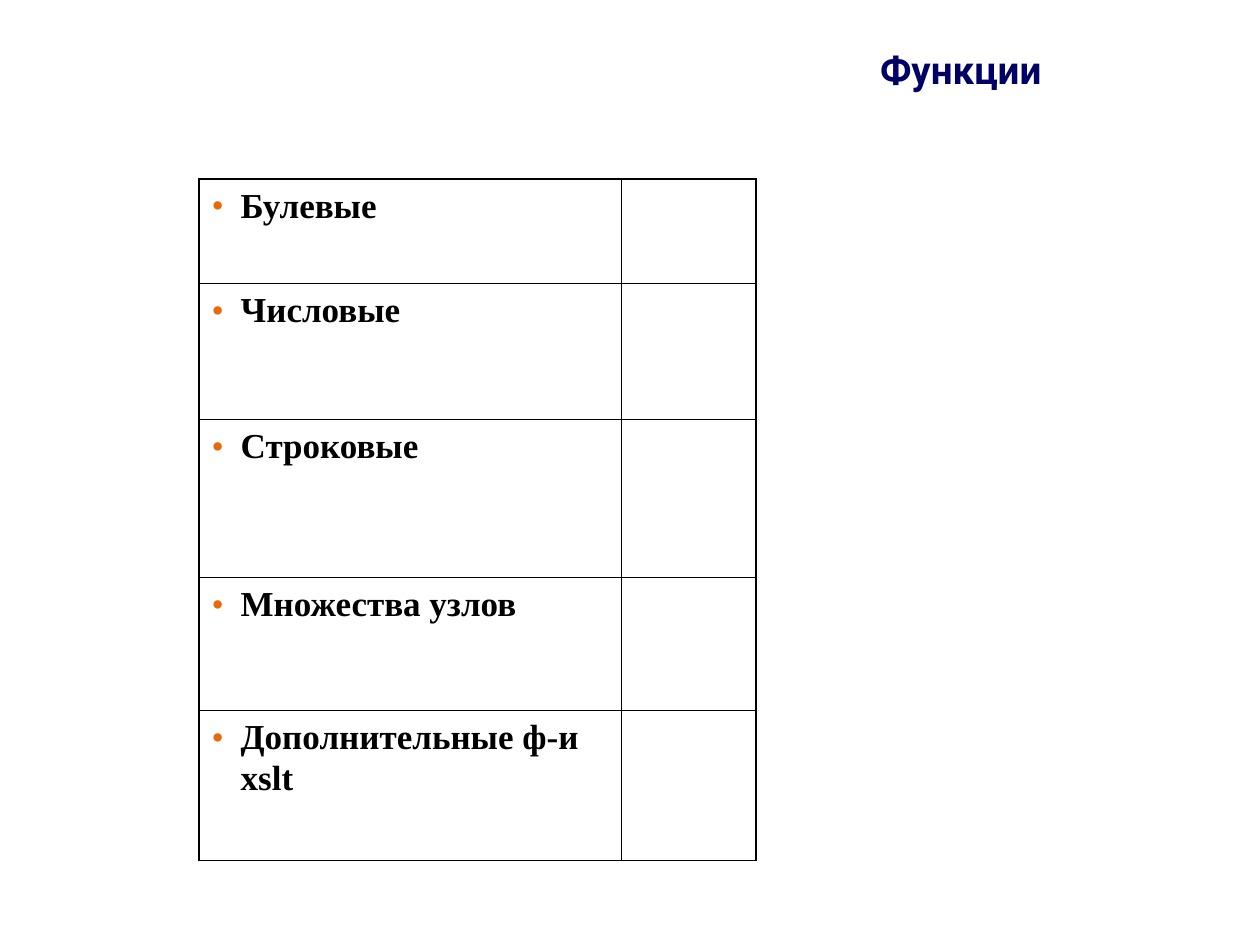
from lxml.etree import SubElement
from pptx import Presentation
from pptx.dml.color import RGBColor
from pptx.enum.text import MSO_ANCHOR, PP_ALIGN
from pptx.oxml.ns import qn
from pptx.util import Inches, Pt

TITLE = "Функции"
FUNCTION_GROUPS = [
    ("Булевые", 0.83),
    ("Числовые", 1.08),
    ("Строковые", 1.25),
    ("Множества узлов", 1.06),
    ("Дополнительные ф-и xslt", 1.19),
]
COLUMN_WIDTHS = [3.35, 1.07]
COLORS = {"title": "000066", "text": "000000", "bullet": "E96807", "border": "000000"}
OUTER_LINE, INNER_LINE = 1.08, 0.45
BULLET_INDENT = 0.23


def add_span(para, text, font, size, color):
    span = para.add_run()
    span.text = text
    span.font.name = font
    span.font.size = Pt(size)
    span.font.bold = True
    span.font.color.rgb = RGBColor.from_string(COLORS[color])


def add_color(parent, color):
    SubElement(parent, qn("a:srgbClr"), val=COLORS[color])


def add_bullet(para):
    para.line_spacing = 1.04
    para.space_before = Pt(5)
    properties = para._p.get_or_add_pPr()
    properties.set("marL", str(Inches(BULLET_INDENT)))
    properties.set("indent", str(-Inches(BULLET_INDENT)))
    add_color(SubElement(properties, qn("a:buClr")), "bullet")
    SubElement(properties, qn("a:buFont"), typeface="Times New Roman")
    SubElement(properties, qn("a:buChar"), char="•")


def set_borders(cell, outer_sides):
    properties = cell._tc.get_or_add_tcPr()
    for side, is_outer in outer_sides.items():
        width = Pt(OUTER_LINE if is_outer else INNER_LINE)
        line = SubElement(properties, qn(f"a:ln{side}"), w=str(width))
        add_color(SubElement(line, qn("a:solidFill")), "border")
    SubElement(properties, qn("a:noFill"))


def add_title(page):
    box = page.shapes.add_textbox(Inches(5.25), Inches(-0.08), Inches(4.75), Inches(1.25))
    frame = box.text_frame
    frame.word_wrap = True
    frame.vertical_anchor = MSO_ANCHOR.MIDDLE
    para = frame.paragraphs[0]
    para.alignment = PP_ALIGN.CENTER
    add_span(para, TITLE, "Roboto", 22, "title")


def add_function_table(page):
    row_count, column_count = len(FUNCTION_GROUPS), len(COLUMN_WIDTHS)
    height = sum(row_height for _, row_height in FUNCTION_GROUPS)
    table = page.shapes.add_table(
        row_count, column_count, Inches(1.58), Inches(1.42),
        Inches(sum(COLUMN_WIDTHS)), Inches(height),
    ).table
    table.first_row = table.horz_banding = False
    for column, width in zip(table.columns, COLUMN_WIDTHS):
        column.width = Inches(width)
    for row, (name, row_height) in enumerate(FUNCTION_GROUPS):
        table.rows[row].height = Inches(row_height)
        for column in range(column_count):
            set_borders(table.cell(row, column), {
                "L": column == 0,
                "R": column == column_count - 1,
                "T": row == 0,
                "B": row == row_count - 1,
            })
        para = table.cell(row, 0).text_frame.paragraphs[0]
        add_bullet(para)
        add_span(para, name, "Times New Roman", 20, "text")


def main():
    deck = Presentation()
    deck.slide_width, deck.slide_height = Inches(10), Inches(7.5)
    page = deck.slides.add_slide(deck.slide_layouts[6])
    add_title(page)
    add_function_table(page)
    deck.save("out.pptx")


if __name__ == "__main__":
    main()
